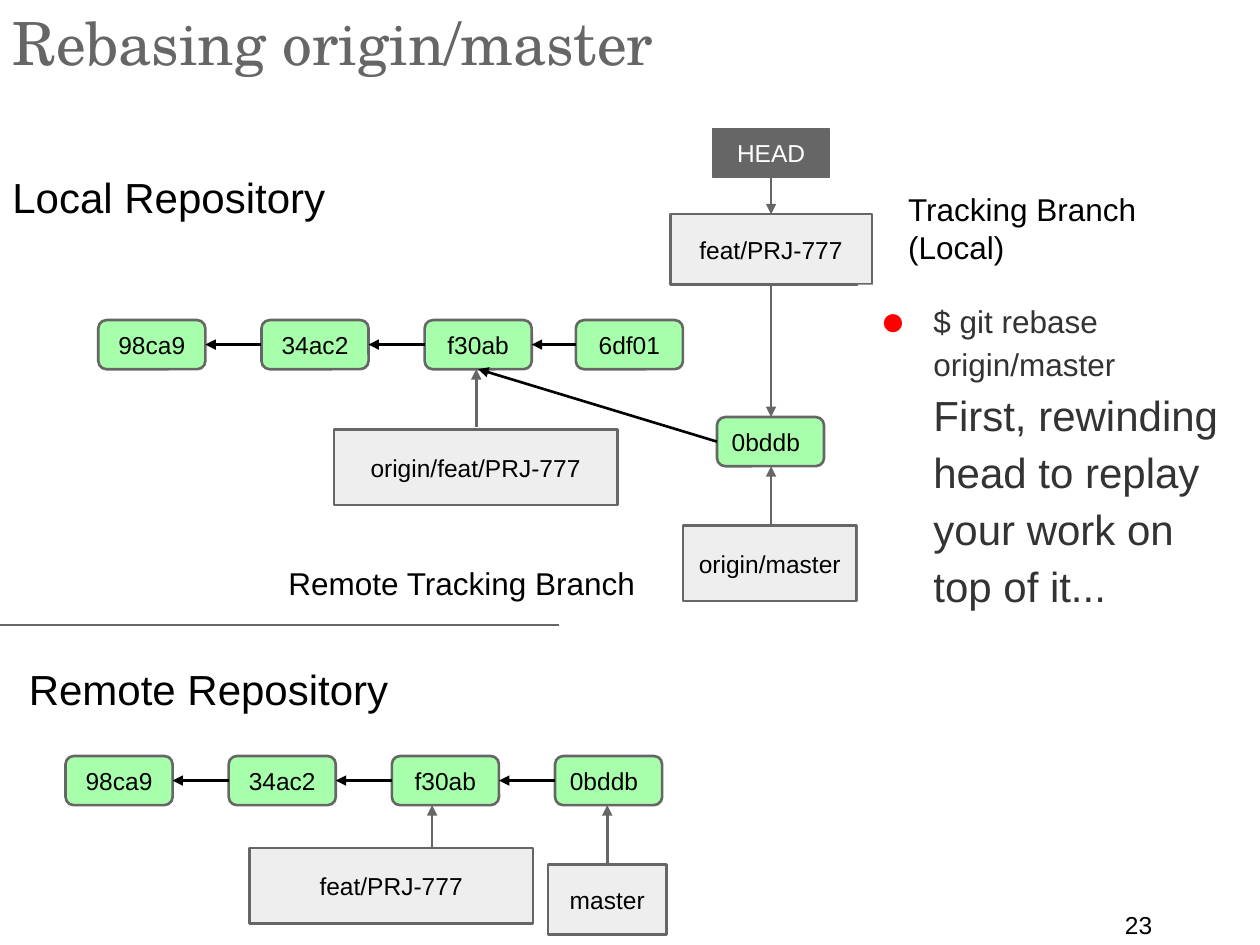
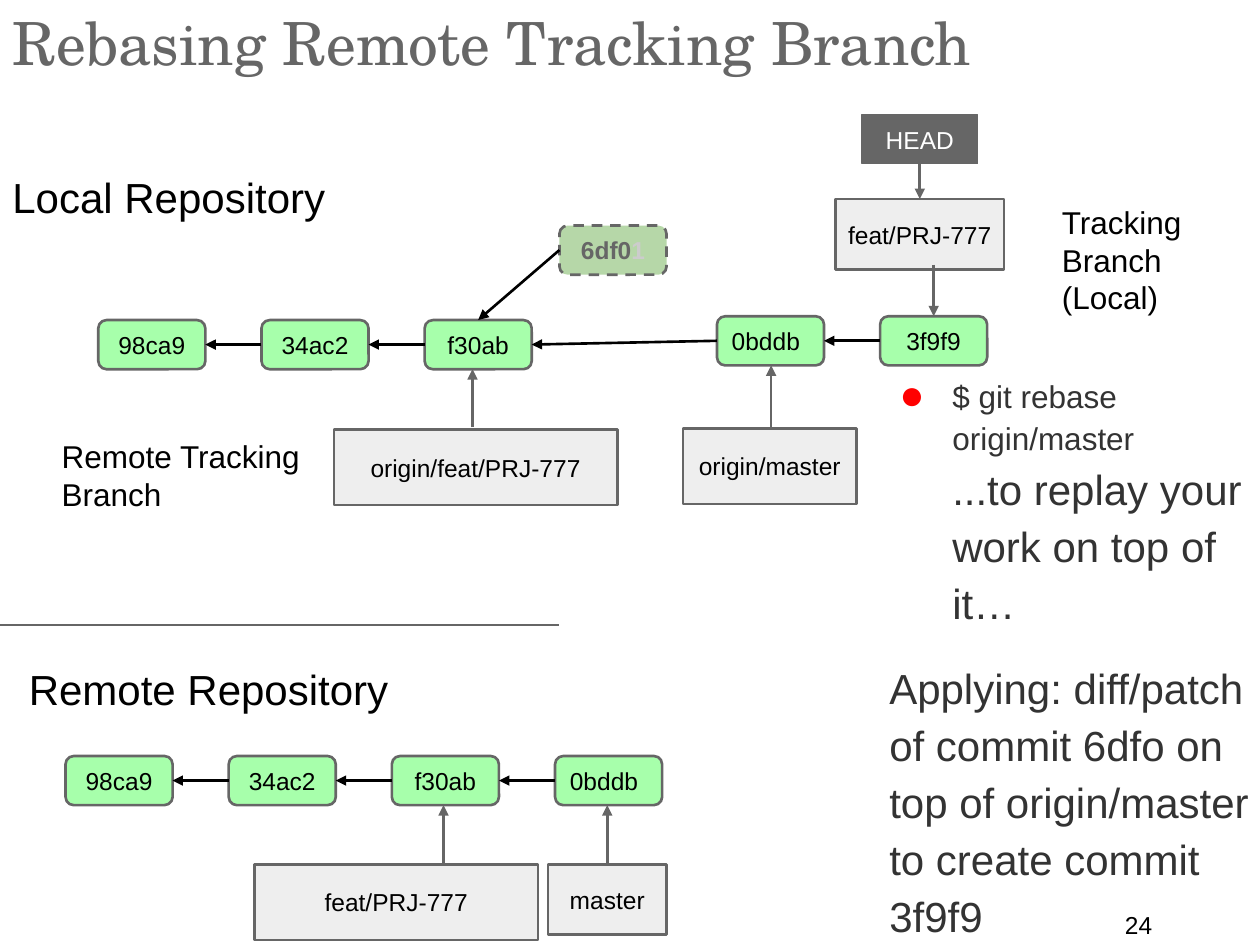
from lxml import etree
from pptx import Presentation
from pptx.dml.color import RGBColor
from pptx.enum.dml import MSO_LINE
from pptx.enum.shapes import MSO_CONNECTOR, MSO_SHAPE
from pptx.enum.text import MSO_ANCHOR, PP_ALIGN
from pptx.oxml.ns import qn
from pptx.util import Inches, Pt

RECT, ROUND = MSO_SHAPE.RECTANGLE, MSO_SHAPE.ROUNDED_RECTANGLE
STRAIGHT, DASH = MSO_CONNECTOR.STRAIGHT, MSO_LINE.DASH
TOP_ANCHOR, MIDDLE = MSO_ANCHOR.TOP, MSO_ANCHOR.MIDDLE
LEFT_ALIGN, CENTER = PP_ALIGN.LEFT, PP_ALIGN.CENTER

COLORS = {
    "text": "000000", "notes": "333333", "gray": "666666", "pale": "CCCCCC",
    "commit": "A7FFAB", "stale": "B6D7A8", "branch": "EEEEEE",
    "white": "FFFFFF", "bullet": "FF0000",
}
BODY_FONT, TITLE_FONT = "Arial", "TeX Gyre Schola"
COMMIT_W, COMMIT_H, COMMIT_STEP = 0.85, 0.39, 1.295
TOP, LEFT, BOTTOM, RIGHT = range(4)  # connection sites of a box

# Shared by both slides: rows of commits are (ids, left, top)
LOCAL_ROW = (["98ca9", "34ac2", "f30ab"], 0.78, 2.54)
REMOTE_ROW = (["98ca9", "34ac2", "f30ab", "0bddb"], 0.52, 6)
HEADINGS = [("Local Repository", (0, 1.26, 2.92, 0.6)),
            ("Remote Repository", (0.13, 5.17, 3.49, 0.6))]
SHARED_BRANCHES = [("master", (4.35, 6.86, 0.94, 0.56)),
                   ("origin/feat/PRJ-777", (2.65, 3.41, 2.25, 0.6))]
MASTER_POINTER = (4.82, 6.86, 6.39)
COMMAND = "$ git rebase origin/master"

# Pointers are vertical arrows: (x, from y, to y)
SLIDES = [
    {
        "title": "Rebasing origin/master",
        "number": "23",
        "rows": [(["6df01"], 4.57, 2.54), (["0bddb"], 5.69, 3.31)],
        "links": [("6df01", LEFT, "f30ab", RIGHT), ("0bddb", LEFT, "f30ab", BOTTOM)],
        "head": (5.66, 1.02, 0.92, 0.39),
        "branches": [("origin/master", (5.42, 4.17, 1.38, 0.6)),
                     ("feat/PRJ-777", (5.32, 1.7, 1.6, 0.56)),
                     ("feat/PRJ-777", (1.98, 6.73, 2.25, 0.6))],
        "pointers": [(6.12, 4.17, 3.7), (6.12, 2.26, 3.31), (6.12, 1.35, 1.7),
                     (3.78, 3.39, 2.93), (3.43, 6.74, 6.39)],
        "labels": [("Remote Tracking Branch", (2.19, 4.38, 3.06, 0.77)),
                   ("Tracking Branch (Local)", (7.11, 1.41, 2.2, 0.77))],
        "notes_box": (6.81, 2.26, 3.06, 3.08),
        "notes_fill": "white",
        "output": "First, rewinding head to replay your work on top of it...",
    },
    {
        "title": "Rebasing Remote Tracking Branch",
        "number": "24",
        "rows": [(["0bddb", "3f9f9"], 5.69, 2.51)],
        "stale": ("6df01", 4.44, 1.79),
        "links": [("0bddb", LEFT, "f30ab", RIGHT), ("6df01", LEFT, "f30ab", TOP)],
        "head": (6.84, 0.91, 0.92, 0.39),
        "branches": [("origin/master", (5.42, 3.4, 1.38, 0.6)),
                     ("feat/PRJ-777", (6.63, 1.58, 1.34, 0.56)),
                     ("feat/PRJ-777", (2.02, 6.86, 2.25, 0.6))],
        "pointers": [(6.12, 3.4, 2.9), (7.41, 2.1, 2.51), (7.3, 1.3, 1.58),
                     (3.75, 3.39, 2.93), (3.52, 6.86, 6.39)],
        "labels": [("Remote Tracking Branch", (0.39, 3.37, 2.25, 0.77)),
                   ("Tracking Branch (Local)", (8.33, 1.51, 1.67, 0.77))],
        "notes_box": (6.96, 2.85, 3.16, 4.45),
        "output": "...to replay your work on top of it…",
        "remark": "Applying: diff/patch of commit 6dfo on top of "
                  "origin/master to create commit 3f9f9",
    },
]


def rgb(name):
    return RGBColor.from_string(COLORS[name])


def add_run(p, text, size, color="text", font=BODY_FONT, bold=False):
    r = p.add_run()
    r.text = text
    r.font.size, r.font.name, r.font.bold = Pt(size), font, bold
    r.font.color.rgb = rgb(color)


def set_frame(sp, anchor, inset_y=0.1):
    tf = sp.text_frame
    tf.word_wrap = True
    tf.vertical_anchor = anchor
    tf.margin_left = tf.margin_right = Inches(0.1)
    tf.margin_top = tf.margin_bottom = Inches(inset_y)
    return tf


def add_text(slide, text, box, size, color="text", font=BODY_FONT, inset_y=0.1):
    sp = slide.shapes.add_textbox(*map(Inches, box))
    tf = set_frame(sp, TOP_ANCHOR, inset_y)
    add_run(tf.paragraphs[0], text, size, color, font)


def add_box(slide, box, fill, runs, shape=RECT, align=CENTER, line_width=1.5):
    """Outlined box; runs are (text, color, bold)."""
    sp = slide.shapes.add_shape(shape, *map(Inches, box))
    sp.shadow.inherit = False
    sp.fill.solid()
    sp.fill.fore_color.rgb = rgb(fill)
    sp.line.color.rgb = rgb("gray")
    sp.line.width = Pt(line_width)
    p = set_frame(sp, MIDDLE).paragraphs[0]
    p.alignment = align
    for text, color, bold in runs:
        add_run(p, text, 14, color, bold=bold)
    return sp


def add_line(slide, color, start=(0, 0), end=(0, 0), arrow=True):
    line = slide.shapes.add_connector(STRAIGHT, *map(Inches, (*start, *end)))
    line.line.color.rgb = rgb(color)
    line.line.width = Pt(1.5)
    if arrow:
        etree.SubElement(line.line._get_or_add_ln(), qn("a:tailEnd"), type="triangle")
    etree.SubElement(line._element.spPr, qn("a:effectLst"))
    return line


def link(slide, source, source_site, target, target_site):
    line = add_line(slide, "text")
    line.begin_connect(source, source_site)
    line.end_connect(target, target_site)


def add_commit(slide, x, y, runs, fill="commit", align=CENTER):
    sp = add_box(slide, (x, y, COMMIT_W, COMMIT_H), fill, runs, ROUND, align)
    sp.adjustments[0] = 0.167
    return sp


def add_row(slide, ids, left, top):
    """Draw commits left to right, each pointing at its parent; return them by id."""
    commits, parent = {}, None
    for i, name in enumerate(ids):
        align = LEFT_ALIGN if name == "0bddb" else CENTER
        sp = add_commit(slide, left + i * COMMIT_STEP, top,
                        [(name, "text", False)], align=align)
        if parent is not None:
            link(slide, sp, LEFT, parent, RIGHT)
        commits[name] = parent = sp
    return commits


def add_bullet(p):
    pPr = p._p.get_or_add_pPr()
    pPr.set("marL", str(Inches(0.5)))
    pPr.set("indent", str(Inches(-0.42)))
    color = etree.SubElement(pPr, qn("a:buClr"))
    etree.SubElement(color, qn("a:srgbClr"), val=COLORS["bullet"])
    etree.SubElement(pPr, qn("a:buSzPct"), val="133000")
    etree.SubElement(pPr, qn("a:buFont"), typeface=BODY_FONT)
    etree.SubElement(pPr, qn("a:buChar"), char="●")


def add_notes(slide, data):
    """Command with its output, and a remark when there is one."""
    sp = slide.shapes.add_textbox(*map(Inches, data["notes_box"]))
    if "notes_fill" in data:
        sp.fill.solid()
        sp.fill.fore_color.rgb = rgb(data["notes_fill"])
    tf = set_frame(sp, TOP_ANCHOR)
    p = tf.paragraphs[0]
    p.line_spacing, p.space_after = 1.13, Pt(8)
    add_bullet(p)
    add_run(p, COMMAND, 18, "notes")
    p.add_line_break()
    add_run(p, data["output"], 24, "notes")
    if "remark" in data:
        p = tf.add_paragraph()
        p.line_spacing, p.space_before = 1.13, Pt(8)
        add_run(p, data["remark"], 24, "notes")


def build_slide(prs, data):
    slide = prs.slides.add_slide(prs.slide_layouts[6])
    add_text(slide, data["title"], (0, 0, 10, 0.6), 34, "gray", TITLE_FONT, 0.05)
    add_text(slide, data["number"], (8.83, 7.17, 0.92, 0.25), 14, inset_y=0.05)
    for text, box in HEADINGS:
        add_text(slide, text, box, 24)
    for text, box in data["labels"]:
        add_text(slide, text, box, 18)
    add_line(slide, "gray", (0, 4.96), (4.44, 4.96), arrow=False)

    add_row(slide, *REMOTE_ROW)
    commits = {}
    for row in [LOCAL_ROW, *data["rows"]]:
        commits.update(add_row(slide, *row))
    if "stale" in data:
        name, x, y = data["stale"]
        runs = [(name[:-1], "gray", True), (name[-1], "pale", True)]
        commits[name] = add_commit(slide, x, y, runs, "stale")
        commits[name].line.dash_style = DASH
    for source, source_site, target, target_site in data["links"]:
        link(slide, commits[source], source_site, commits[target], target_site)

    add_box(slide, data["head"], "gray", [("HEAD", "white", False)], line_width=0.75)
    for name, box in SHARED_BRANCHES + data["branches"]:
        add_box(slide, box, "branch", [(name, "text", False)])
    for x, start, end in [MASTER_POINTER, *data["pointers"]]:
        add_line(slide, "gray", (x, start), (x, end))
    add_notes(slide, data)


def main():
    prs = Presentation()
    prs.slide_width, prs.slide_height = Inches(10), Inches(7.5)
    for data in SLIDES:
        build_slide(prs, data)
    prs.save("out.pptx")


if __name__ == "__main__":
    main()
